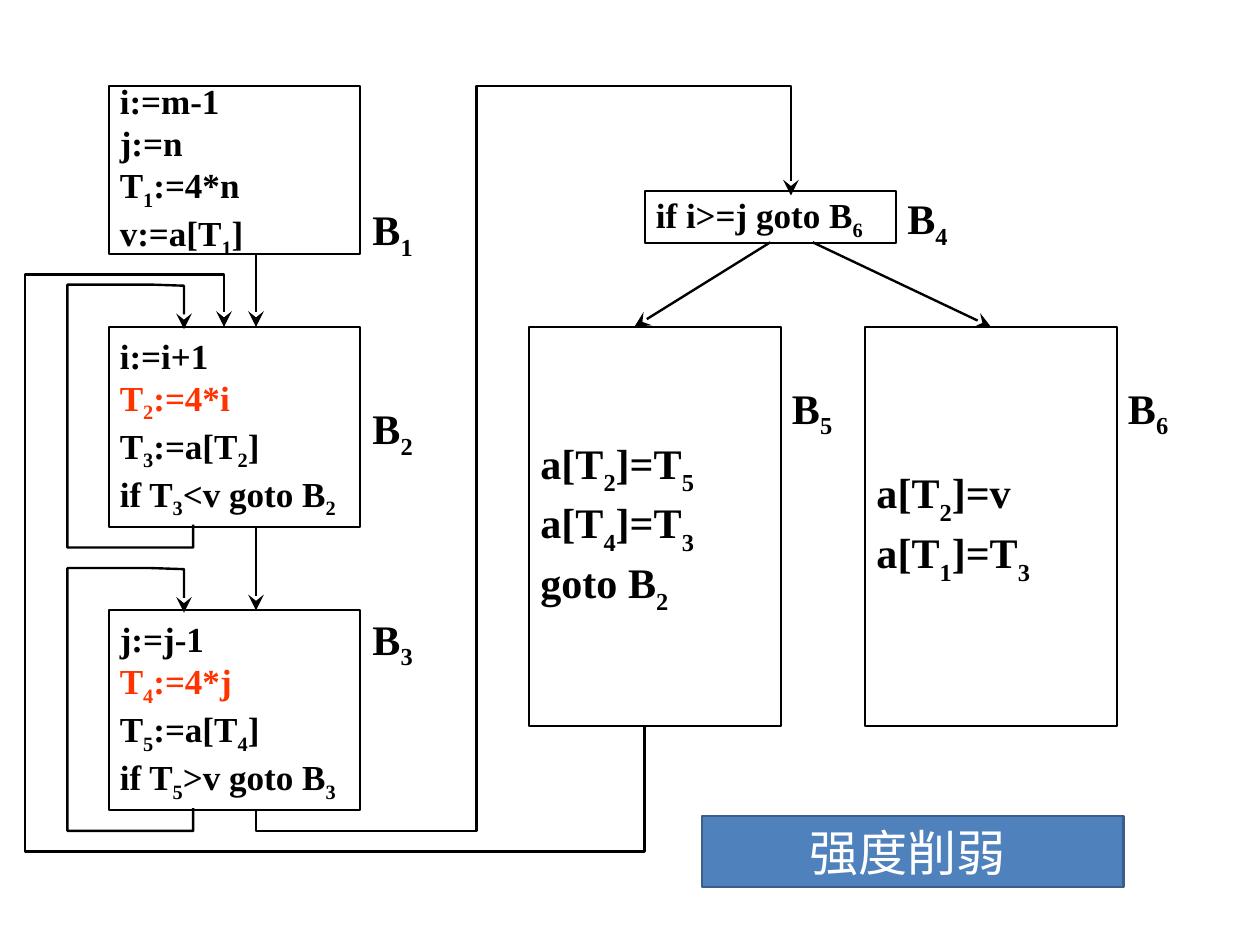
from lxml import etree
from pptx import Presentation
from pptx.dml.color import RGBColor
from pptx.enum.shapes import MSO_CONNECTOR, MSO_SHAPE
from pptx.enum.text import MSO_ANCHOR, PP_ALIGN
from pptx.oxml.ns import qn
from pptx.util import Cm, Inches, Pt

BLACK = RGBColor(0x00, 0x00, 0x00)
WHITE = RGBColor(0xFF, 0xFF, 0xFF)
RED = RGBColor(0xFF, 0x33, 0x00)
BLUE = RGBColor(0x4F, 0x81, 0xBD)
DARK_BLUE = RGBColor(0x3A, 0x5F, 0x8C)
RECTANGLE = MSO_SHAPE.RECTANGLE
STRAIGHT = MSO_CONNECTOR.STRAIGHT
MIDDLE = MSO_ANCHOR.MIDDLE
LEFT, CENTER = PP_ALIGN.LEFT, PP_ALIGN.CENTER
SERIF = "Times New Roman"
CJK = "Noto Sans CJK SC"
BLOCK_WIDTH = 2.2
LABEL_SIZE = 0.73


def add_text(p, text, *, size, color=BLACK, font=SERIF, bold=True, base=-25, align=LEFT):
    """Fill a paragraph; the character after each underscore is a subscript."""
    p.alignment = align
    first, *rest = text.split("_")
    pieces = [(first, 0)]
    for part in rest:
        pieces += [(part[0], base), (part[1:], 0)]
    for piece, shift in pieces:
        if not piece:
            continue
        r = p.add_run()
        r.text = piece
        r.font.size = Pt(size)
        r.font.bold = bold
        r.font.name = font
        r.font.color.rgb = color
        rPr = r.font._element
        if shift:
            rPr.set("baseline", str(shift * 1000))
        etree.SubElement(rPr, qn("a:ea")).set("typeface", font)


class FlowGraph:
    """Draws the basic blocks and jumps of a flow graph on one slide."""

    def __init__(self, slide):
        self.shapes = slide.shapes

    def box(self, x, y, w, h, *, fill=None, line=BLACK, width=1.25):
        sp = self.shapes.add_shape(RECTANGLE, Inches(x), Inches(y), Inches(w), Inches(h))
        sp.shadow.inherit = False
        if fill is None:
            sp.fill.background()
        else:
            sp.fill.solid()
            sp.fill.fore_color.rgb = fill
        sp.line.color.rgb = line
        sp.line.width = Pt(width)
        tf = sp.text_frame
        tf.word_wrap = True
        tf.vertical_anchor = MIDDLE
        return tf

    def block(self, x, y, h, lines, *, size=22.1, base=-25, red=None):
        """Add a basic block; red is the index of the highlighted line."""
        tf = self.box(x, y, BLOCK_WIDTH, h)
        for i, text in enumerate(lines):
            p = tf.add_paragraph() if i else tf.paragraphs[0]
            add_text(p, text, size=size, base=base, color=RED if i == red else BLACK)

    def label(self, x, y, text):
        sp = self.shapes.add_textbox(Inches(x), Inches(y), Inches(LABEL_SIZE), Inches(LABEL_SIZE))
        tf = sp.text_frame
        tf.word_wrap = True
        tf.vertical_anchor = MIDDLE
        add_text(tf.paragraphs[0], text, size=26.5, align=CENTER)

    def arrow_style(self, sp):
        sp.line.color.rgb = BLACK
        sp.line.width = Pt(1.5)
        ln = sp.line._get_or_add_ln()
        etree.SubElement(ln, qn("a:tailEnd"), type="stealth", w="lg", len="lg")

    def arrow(self, x1, y1, x2, y2):
        sp = self.shapes.add_connector(STRAIGHT, Inches(x1), Inches(y1), Inches(x2), Inches(y2))
        self.arrow_style(sp)
        etree.SubElement(sp._element.spPr, qn("a:effectLst"))

    def jump(self, *points):
        """Add an open bent line that ends in an arrowhead."""
        start, *rest = [(Inches(x), Inches(y)) for x, y in points]
        builder = self.shapes.build_freeform(*start)
        builder.add_line_segments(rest, close=False)
        sp = builder.convert_to_shape()
        sp.shadow.inherit = False
        sp.fill.background()
        self.arrow_style(sp)

    def loop(self, top):
        """Add the jump from a block back to its own start."""
        self.jump((1.69, top + 2.1), (1.69, top + 2.3), (0.59, top + 2.3), (0.59, top),
                  (1.32, top), (1.61, top + 0.01), (1.61, top + 0.39))

    def banner(self, x, y, w, h, text):
        tf = self.box(x, y, w, h, fill=BLUE, line=DARK_BLUE, width=1.5)
        add_text(tf.paragraphs[0], text, size=30.9, color=WHITE, font=CJK, bold=False, align=CENTER)


def main():
    prs = Presentation()
    prs.slide_width = Cm(28)
    prs.slide_height = Cm(21)
    graph = FlowGraph(prs.slides.add_slide(prs.slide_layouts[6]))

    graph.block(0.95, 0.75, 1.47, ["i:=m-1", "j:=n", "T_1:=4*n", "v:=a[T_1]"])
    graph.block(0.95, 2.86, 1.75,
                ["i:=i+1", "T_2:=4*i", "T_3:=a[T_2]", "if T_3<v goto B_2"], red=1)
    graph.block(0.95, 5.34, 1.75,
                ["j:=j-1", "T_4:=4*j", "T_5:=a[T_4]", "if T_5>v goto B_3"], red=1)
    graph.block(5.64, 1.67, 0.46, ["if i>=j goto B_6"])
    graph.block(4.63, 2.86, 3.49, ["a[T_2]=T_5", "a[T_4]=T_3", "goto B_2"], size=26.5, base=-30)
    graph.block(7.57, 2.86, 3.49, ["a[T_2]=v", "a[T_1]=T_3"], size=26.5, base=-30)

    label_places = [(3.07, 1.67), (3.07, 3.41), (3.07, 5.25),
                    (7.75, 1.57), (6.74, 3.23), (9.68, 3.23)]
    for number, (x, y) in enumerate(label_places, 1):
        graph.label(x, y, f"B_{number}")

    graph.arrow(2.24, 2.22, 2.24, 2.86)
    graph.arrow(2.24, 4.6, 2.24, 5.34)
    graph.arrow(6.74, 2.12, 5.55, 2.86)
    graph.arrow(7.11, 2.12, 8.67, 2.86)
    for top in (2.49, 4.97):
        graph.loop(top)
    graph.jump((2.24, 7.08), (2.24, 7.27), (4.17, 7.27), (4.17, 0.75), (6.92, 0.75), (6.92, 1.71))
    graph.jump((5.64, 6.35), (5.64, 7.45), (0.22, 7.45), (0.22, 2.4), (1.96, 2.4), (1.96, 2.86))

    graph.banner(6.14, 7.14, 3.69, 0.62, "强度削弱 ")
    prs.save("out.pptx")


if __name__ == "__main__":
    main()
